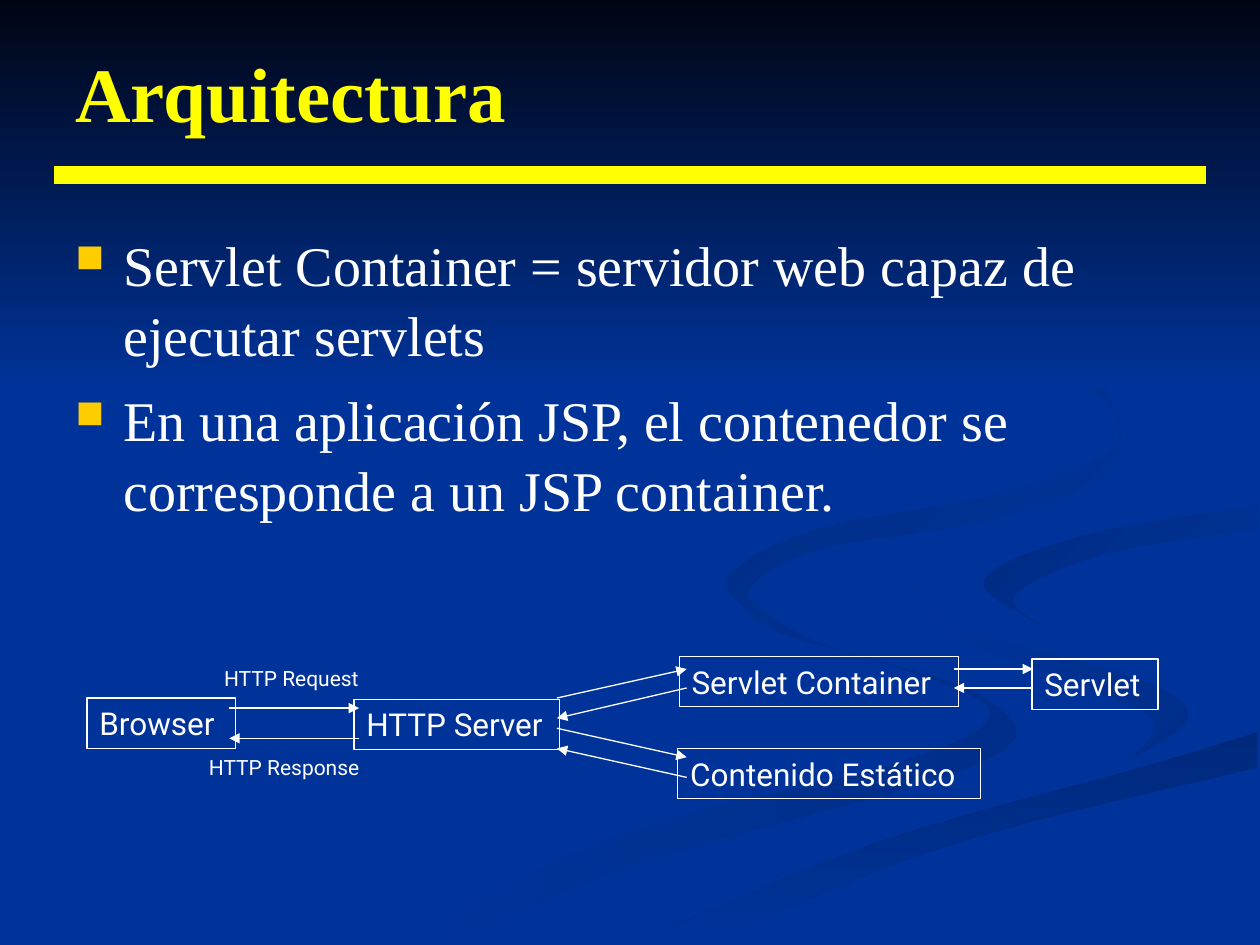
from dataclasses import dataclass

from lxml import etree
from pptx import Presentation
from pptx.dml.color import RGBColor
from pptx.enum.shapes import MSO_CONNECTOR, MSO_SHAPE
from pptx.enum.text import MSO_ANCHOR, PP_ALIGN
from pptx.oxml.ns import qn
from pptx.util import Inches, Pt

STRAIGHT = MSO_CONNECTOR.STRAIGHT
RECTANGLE = MSO_SHAPE.RECTANGLE
TOP, MIDDLE = MSO_ANCHOR.TOP, MSO_ANCHOR.MIDDLE
LEFT = PP_ALIGN.LEFT


@dataclass(frozen=True)
class Theme:
    background: str = "003399"
    night: str = "000514"
    shade: str = "002E8A"
    deep_shade: str = "00297C"
    curl_shade: str = "002B81"
    accent: str = "FFFF00"
    bullet: str = "FFCC00"
    ink: str = "FFFFFF"
    serif: str = "Times New Roman"
    sans: str = "Roboto"
    title_size: int = 44
    body_size: int = 32
    node_size: int = 18
    label_size: int = 12
    rule_width: float = 10
    line_width: float = 0.75


THEME = Theme()
CURVE_STEPS = 6

RIBBONS = [
    (THEME.shade, THEME.background, 180,
     [(5.75, 4.59), (6.11, 4.99), (7.14, 5.3), (7.86, 5.66), (7.14, 6.05), (4.99, 6.61), (3, 7.49)],
     [(3.61, 7.49), (4.99, 6.87), (7.8, 6.05), (7.81, 5.53), (6.42, 5.07), (5.75, 4.59)]),
    (THEME.shade, THEME.background, 225,
     [(7.24, 4.64), (7.58, 4.98), (9.05, 5.4), (9.43, 5.7), (8.94, 6.05)],
     [(8.94, 6.05), (9.15, 5.71), (8.38, 5.36), (7.46, 5), (7.24, 4.64)]),
    (THEME.deep_shade, THEME.background, 90,
     [(5.03, 7.49), (6.96, 6.69), (9.03, 6.1), (9.98, 5.81)],
     [(9.98, 6.09), (7.85, 6.61), (6.49, 7.1), (5.71, 7.49)]),
    (THEME.background, THEME.curl_shade, 225,
     [(9.98, 4.02), (8.65, 4.24), (7.81, 4.6), (8.26, 4.96)],
     [(8.26, 4.96), (8.05, 4.72), (8.78, 4.39), (9.98, 4.2)]),
    (THEME.background, THEME.curl_shade, 225,
     [(7.62, 2.33), (8.64, 2.91), (8.83, 3.7), (7.86, 4.12), (6.49, 4.36), (5.93, 4.7), (6.22, 5)],
     [(6.22, 5), (5.77, 4.62), (6.49, 4.2), (8.18, 3.86), (8.89, 3.35), (7.62, 2.33)]),
    (THEME.night, THEME.background, 90, [(0, 0), (10, 0)], [(10, 3.08), (0, 3.08)]),
]

BULLETS = [
    "Servlet Container = servidor web capaz de ejecutar servlets",
    "En una aplicación JSP, el contenedor se corresponde a un JSP container.",
]
NODES = [
    ("Browser", 0.69, 5.54, 1.18),
    ("HTTP Server", 2.81, 5.55, 1.63),
    ("Servlet Container", 5.39, 5.21, 2.22),
    ("Contenido Estático", 5.38, 5.94, 2.4),
    ("Servlet", 8.19, 5.23, 1),
]
EXCHANGES = [
    (1.82, 2.85, (5.62, 5.62), (5.86, 5.86)),
    (4.42, 5.45, (5.54, 5.31), (5.46, 5.7)),
    (4.42, 5.45, (5.78, 6.01), (6.17, 5.94)),
    (7.57, 8.2, (5.31, 5.31), (5.46, 5.46)),
]
LABELS = [("HTTP Request", 1.68, 5.23, 1.29), ("HTTP Response", 1.56, 5.94, 1.41)]


def color(value):
    return RGBColor.from_string(value)


def blend(before, start, end, after, t):
    return (2 * start + (end - before) * t
            + (2 * before - 5 * start + 4 * end - after) * t ** 2
            + (3 * start - before - 3 * end + after) * t ** 3) / 2


def smooth(points):
    padded = [points[0], *points, points[-1]]
    curve = []
    for quad in zip(padded, padded[1:], padded[2:], padded[3:]):
        for step in range(CURVE_STEPS):
            curve.append(tuple(blend(*axis, step / CURVE_STEPS) for axis in zip(*quad)))
    return curve + [points[-1]]


def add_ribbon(page, start, end, angle, outward, inward):
    corners = [(Inches(x), Inches(y)) for x, y in smooth(outward) + smooth(inward)]
    builder = page.shapes.build_freeform(*corners[0])
    builder.add_line_segments(corners[1:], close=True)
    ribbon = builder.convert_to_shape()
    ribbon.shadow.inherit = False
    ribbon.line.fill.background()
    ribbon.fill.gradient()
    ribbon.fill.gradient_angle = 360 - angle
    for stop, value in zip(ribbon.fill.gradient_stops, (start, end)):
        stop.color.rgb = color(value)


def add_line(page, ends, value, width, arrow=False):
    line = page.shapes.add_connector(STRAIGHT, *map(Inches, ends))
    line.line.color.rgb = color(value)
    line.line.width = Pt(width)
    if arrow:
        outline = line._element.spPr.find(qn("a:ln"))
        etree.SubElement(outline, qn("a:tailEnd"), type="triangle")
    etree.SubElement(line._element.spPr, qn("a:effectLst"))


def add_arrow(page, *ends):
    add_line(page, ends, THEME.ink, THEME.line_width, arrow=True)


def write(box, lines, font, size, value, bold=False, wrap=True, anchor=TOP):
    frame = box.text_frame
    frame.word_wrap = wrap
    frame.vertical_anchor = anchor
    frame.text = "\n".join(lines)
    for para in frame.paragraphs:
        para.alignment = LEFT
        para.font.name = font
        para.font.size = Pt(size)
        para.font.bold = bold
        para.font.color.rgb = color(value)
    return frame.paragraphs


def add_text(page, place, lines, *style, **options):
    box = page.shapes.add_textbox(*map(Inches, place))
    return write(box, lines, *style, **options)


def add_bullet(para):
    para.space_before = Pt(8)
    para.line_spacing = 1.05
    properties = para._p.get_or_add_pPr()
    properties.set("marL", str(Inches(0.38)))
    properties.set("indent", str(Inches(-0.38)))
    tint = etree.Element(qn("a:buClr"))
    etree.SubElement(tint, qn("a:srgbClr"), val=THEME.bullet)
    size = etree.Element(qn("a:buSzPct"), val="70000")
    mark = etree.Element(qn("a:buChar"), char="■")
    defaults = properties.find(qn("a:defRPr"))
    for part in (tint, size, mark):
        defaults.addprevious(part)


def add_node(page, name, left, top, width):
    node = page.shapes.add_shape(RECTANGLE, *map(Inches, (left, top, width, 0.4)))
    node.shadow.inherit = False
    node.fill.background()
    node.line.color.rgb = color(THEME.ink)
    node.line.width = Pt(THEME.line_width)
    write(node, [name], THEME.sans, THEME.node_size, THEME.ink)


def main():
    deck = Presentation()
    deck.slide_width, deck.slide_height = Inches(10), Inches(7.5)
    page = deck.slides.add_slide(deck.slide_layouts[6])
    page.background.fill.solid()
    page.background.fill.fore_color.rgb = color(THEME.background)
    for ribbon in RIBBONS:
        add_ribbon(page, *ribbon)
    add_line(page, (0.43, 1.39, 9.57, 1.39), THEME.accent, THEME.rule_width)
    add_text(page, (0.5, 0.3, 9, 0.85), ["Arquitectura"], THEME.serif, THEME.title_size,
             THEME.accent, bold=True, anchor=MIDDLE)
    for para in add_text(page, (0.5, 1.75, 9, 5.31), BULLETS, THEME.serif,
                         THEME.body_size, THEME.ink):
        add_bullet(para)
    for node in NODES:
        add_node(page, *node)
    for left, right, request, response in EXCHANGES:
        add_arrow(page, left, request[0], right, request[1])
        add_arrow(page, right, response[0], left, response[1])
    add_arrow(page, 5.45, 6.17, 5.45, 6.17)
    for name, left, top, width in LABELS:
        add_text(page, (left, top, width, 0.3), [name], THEME.sans, THEME.label_size,
                 THEME.ink, wrap=False)
    deck.save("out.pptx")


if __name__ == "__main__":
    main()
